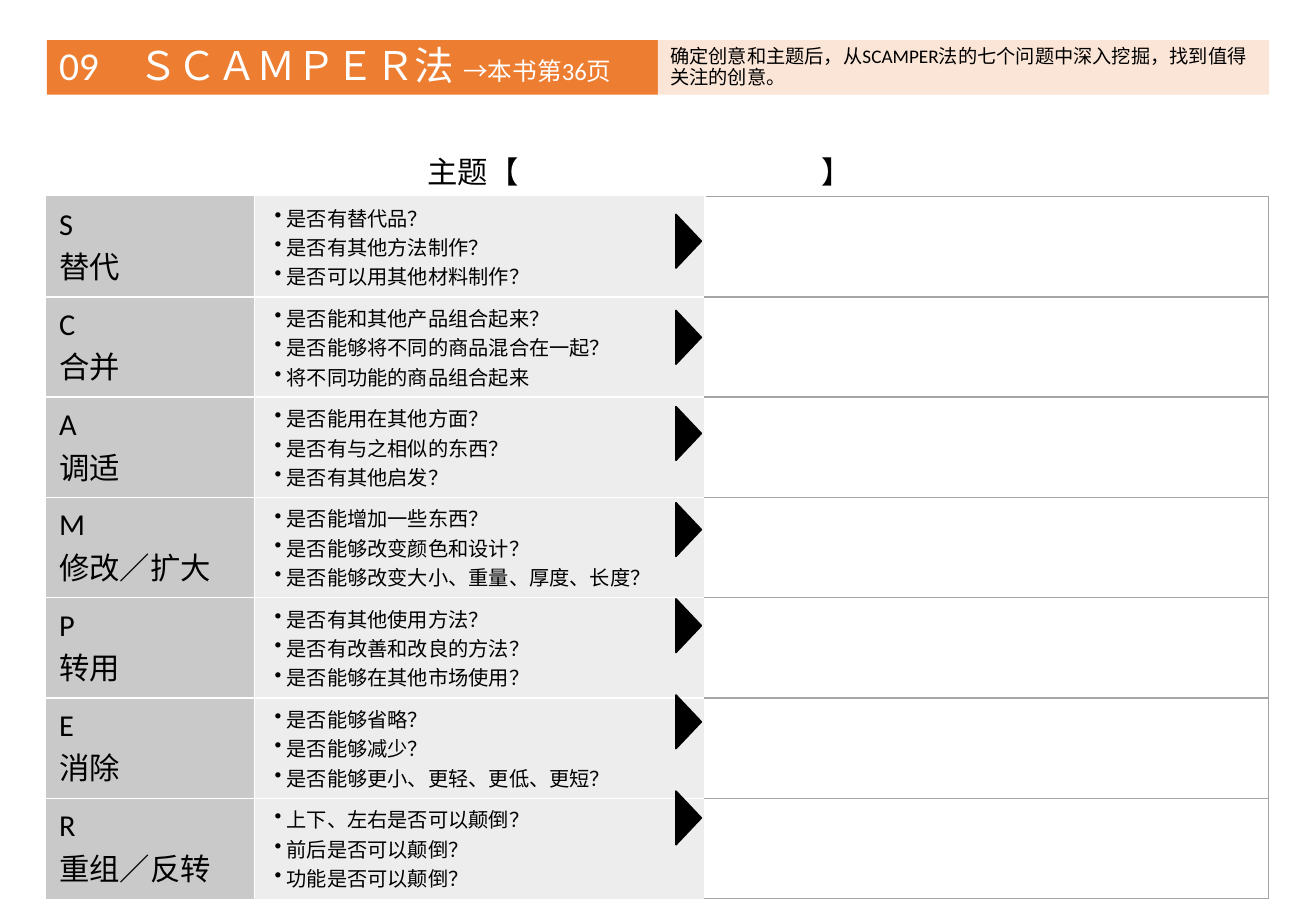
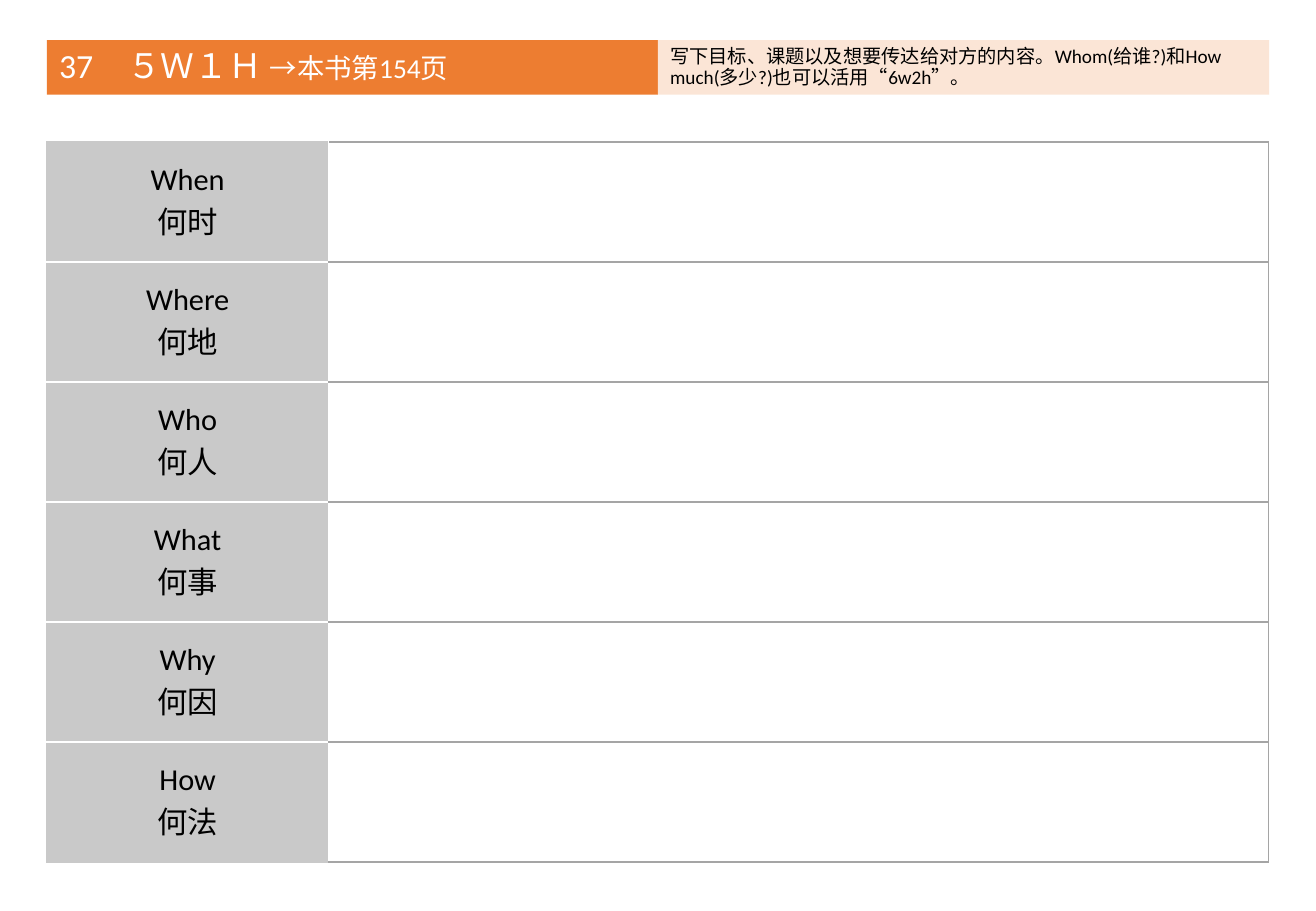
"""Build the SCAMPER and 5W1H worksheet slides."""
from dataclasses import dataclass

import lxml.etree
import pptx
import pptx.dml.color
import pptx.enum.shapes
import pptx.enum.text
import pptx.oxml.ns
import pptx.util

Cm = pptx.util.Cm
Pt = pptx.util.Pt
RGBColor = pptx.dml.color.RGBColor
PP_ALIGN = pptx.enum.text.PP_ALIGN
MIDDLE = pptx.enum.text.MSO_ANCHOR.MIDDLE
qn = pptx.oxml.ns.qn

ORANGE = RGBColor(0xED, 0x7D, 0x31)
PEACH = RGBColor(0xFB, 0xE5, 0xD6)
WHITE = RGBColor(0xFF, 0xFF, 0xFF)
BLACK = RGBColor(0x00, 0x00, 0x00)
LABEL_GREY = RGBColor(0xC9, 0xC9, 0xC9)
QUESTION_GREY = RGBColor(0xED, 0xED, 0xED)
RULE_GREY = RGBColor(0xA5, 0xA5, 0xA5)

FONT = "Calibri"
MARGIN = 0.98
BAND_TOP, BAND_WIDTH, BAND_HEIGHT = 0.84, 12.78, 1.14
ARROW_LEFT, ARROW_TOP, ARROW_PITCH = 13.84, 4.78, 2.01
ARROW_WIDTH, ARROW_HEIGHT = 1.12, 0.53


@dataclass(frozen=True)
class Piece:
    text: str
    size: float
    color: RGBColor = BLACK


@dataclass(frozen=True)
class Column:
    width: float
    fill: RGBColor
    outer: RGBColor
    inner: RGBColor
    size: float = 18
    align: PP_ALIGN = PP_ALIGN.LEFT
    bulleted: bool = False


@dataclass(frozen=True)
class Worksheet:
    heading: tuple[Piece, ...]
    hint: str
    top: float
    row_height: float
    columns: tuple[Column, ...]
    rows: tuple[tuple[tuple[str, ...], ...], ...]


def answer_column(width: float) -> Column:
    return Column(width, WHITE, RULE_GREY, RULE_GREY)


def label_column(width: float, align: PP_ALIGN) -> Column:
    return Column(width, LABEL_GREY, LABEL_GREY, WHITE, align=align)


SCAMPER = Worksheet(
    heading=(Piece("09　ＳＣＡＭＰＥＲ法 ", 23.4, WHITE), Piece("→本书第36页", 14.6, WHITE)),
    hint="确定创意和主题后，从SCAMPER法的七个问题中深入挖掘，找到值得关注的创意。",
    top=4.11,
    row_height=1.99,
    columns=(
        label_column(4.34, PP_ALIGN.LEFT),
        Column(9.42, QUESTION_GREY, QUESTION_GREY, WHITE, size=12, bulleted=True),
        answer_column(11.79),
    ),
    rows=(
        (("S", "替代"), ("是否有替代品？", "是否有其他方法制作？", "是否可以用其他材料制作？")),
        (("C", "合并"), ("是否能和其他产品组合起来？", "是否能够将不同的商品混合在一起？",
                       "将不同功能的商品组合起来")),
        (("A", "调适"), ("是否能用在其他方面？", "是否有与之相似的东西？", "是否有其他启发？")),
        (("M", "修改／扩大"), ("是否能增加一些东西？", "是否能够改变颜色和设计？",
                            "是否能够改变大小、重量、厚度、长度？")),
        (("P", "转用"), ("是否有其他使用方法？", "是否有改善和改良的方法？", "是否能够在其他市场使用？")),
        (("E", "消除"), ("是否能够省略？", "是否能够减少？", "是否能够更小、更轻、更低、更短？")),
        (("R", "重组／反转"), ("上下、左右是否可以颠倒？", "前后是否可以颠倒？", "功能是否可以颠倒？")),
    ),
)

FIVE_W_ONE_H = Worksheet(
    heading=(Piece("37　５Ｗ１Ｈ ", 20, WHITE), Piece("→本书第154页", 16.2, WHITE)),
    hint="写下目标、课题以及想要传达给对方的内容。Whom(给谁?)和How much(多少?)也可以活用“6w2h”。",
    top=2.97,
    row_height=2.51,
    columns=(label_column(5.89, PP_ALIGN.CENTER), answer_column(19.66)),
    rows=(
        (("When", "何时"),),
        (("Where", "何地"),),
        (("Who", "何人"),),
        (("What", "何事"),),
        (("Why", "何因"),),
        (("How", "何法"),),
    ),
)


def set_all(target, formats: dict) -> None:
    for attribute, value in formats.items():
        setattr(target, attribute, value)


def add_piece(paragraph, piece: Piece) -> None:
    run = paragraph.add_run()
    run.text = piece.text
    set_all(run.font, {"name": FONT, "size": Pt(piece.size), "bold": False})
    run.font.color.rgb = piece.color


def paint(shape, color: RGBColor) -> None:
    shape.fill.solid()
    shape.fill.fore_color.rgb = color


def fill_band(band, left: float, color: RGBColor, pieces: tuple[Piece, ...]) -> None:
    set_all(band, {"left": Cm(left), "top": Cm(BAND_TOP),
                   "width": Cm(BAND_WIDTH), "height": Cm(BAND_HEIGHT)})
    paint(band, color)
    set_all(band.text_frame, {"word_wrap": True, "vertical_anchor": MIDDLE,
                              "auto_size": pptx.enum.text.MSO_AUTO_SIZE.NONE})
    paragraph = band.text_frame.paragraphs[0]
    set_all(paragraph, {"alignment": PP_ALIGN.LEFT, "line_spacing": 0.9,
                        "space_before": Pt(0)})
    for piece in pieces:
        add_piece(paragraph, piece)


def add_bullet(paragraph) -> None:
    properties = paragraph._p.get_or_add_pPr()
    properties.set("marL", str(Cm(0.42)))
    properties.set("indent", str(-Cm(0.25)))
    lxml.etree.SubElement(properties, qn("a:buChar")).set("char", "•")


def set_borders(cell, edges: dict[str, RGBColor]) -> None:
    properties = cell._tc.get_or_add_tcPr()
    for position, (edge, color) in enumerate(edges.items()):
        line = lxml.etree.Element(qn(f"a:{edge}"), w=str(Pt(1)))
        solid = lxml.etree.SubElement(line, qn("a:solidFill"))
        lxml.etree.SubElement(solid, qn("a:srgbClr")).set("val", str(color))
        properties.insert(position, line)


def fill_cell(cell, column: Column, lines: tuple[str, ...]) -> None:
    paint(cell, column.fill)
    cell.vertical_anchor = MIDDLE
    for index, text in enumerate(lines):
        frame = cell.text_frame
        paragraph = frame.add_paragraph() if index else frame.paragraphs[0]
        paragraph.alignment = column.align
        if column.bulleted:
            add_bullet(paragraph)
        add_piece(paragraph, Piece(text, column.size))


def add_grid(slide, sheet: Worksheet) -> None:
    last_row, last_column = len(sheet.rows) - 1, len(sheet.columns) - 1
    table = slide.shapes.add_table(
        last_row + 1, last_column + 1, Cm(MARGIN), Cm(sheet.top),
        Cm(sum(column.width for column in sheet.columns)),
        Cm(sheet.row_height * len(sheet.rows))).table
    set_all(table, {"first_row": False, "horz_banding": False})
    for c, column in enumerate(sheet.columns):
        table.columns[c].width = Cm(column.width)
        for r, texts in enumerate(sheet.rows):
            cell = table.cell(r, c)
            fill_cell(cell, column, texts[c] if c < len(texts) else ())
            set_borders(cell, {
                "lnL": WHITE if c else column.outer,
                "lnR": column.outer if c == last_column else WHITE,
                "lnT": column.inner if r else column.outer,
                "lnB": column.outer if r == last_row else column.inner,
            })
    for row in table.rows:
        row.height = Cm(sheet.row_height)


def add_worksheet(deck, sheet: Worksheet):
    slide = deck.slides.add_slide(deck.slide_layouts[0])
    fill_band(slide.shapes.title, MARGIN, ORANGE, sheet.heading)
    fill_band(slide.placeholders[1], MARGIN + BAND_WIDTH, PEACH, (Piece(sheet.hint, 11.4),))
    add_grid(slide, sheet)
    return slide


def add_arrows(slide, count: int) -> None:
    for index in range(count):
        arrow = slide.shapes.add_shape(
            pptx.enum.shapes.MSO_SHAPE.ISOSCELES_TRIANGLE, Cm(ARROW_LEFT),
            Cm(ARROW_TOP + index * ARROW_PITCH), Cm(ARROW_WIDTH), Cm(ARROW_HEIGHT))
        arrow.rotation = 90
        arrow.shadow.inherit = False
        paint(arrow, BLACK)
        arrow.line.color.rgb = BLACK
        arrow.line.width = Pt(1)


def add_theme_field(slide) -> None:
    field = slide.shapes.add_textbox(Cm(8.69), Cm(3.07), Cm(9.5), Cm(1.02))
    field.text_frame.word_wrap = True
    paragraph = field.text_frame.paragraphs[0]
    tabs = lxml.etree.SubElement(paragraph._p.get_or_add_pPr(), qn("a:tabLst"))
    lxml.etree.SubElement(tabs, qn("a:tab"), pos=str(Cm(8.24)), algn="l")
    add_piece(paragraph, Piece("主题【\t】", 18))


def main() -> None:
    deck = pptx.Presentation()
    set_all(deck, {"slide_width": Cm(27.52), "slide_height": Cm(19.05)})
    scamper_slide = add_worksheet(deck, SCAMPER)
    add_arrows(scamper_slide, len(SCAMPER.rows))
    add_theme_field(scamper_slide)
    add_worksheet(deck, FIVE_W_ONE_H)
    deck.save("out.pptx")


if __name__ == "__main__":
    main()
